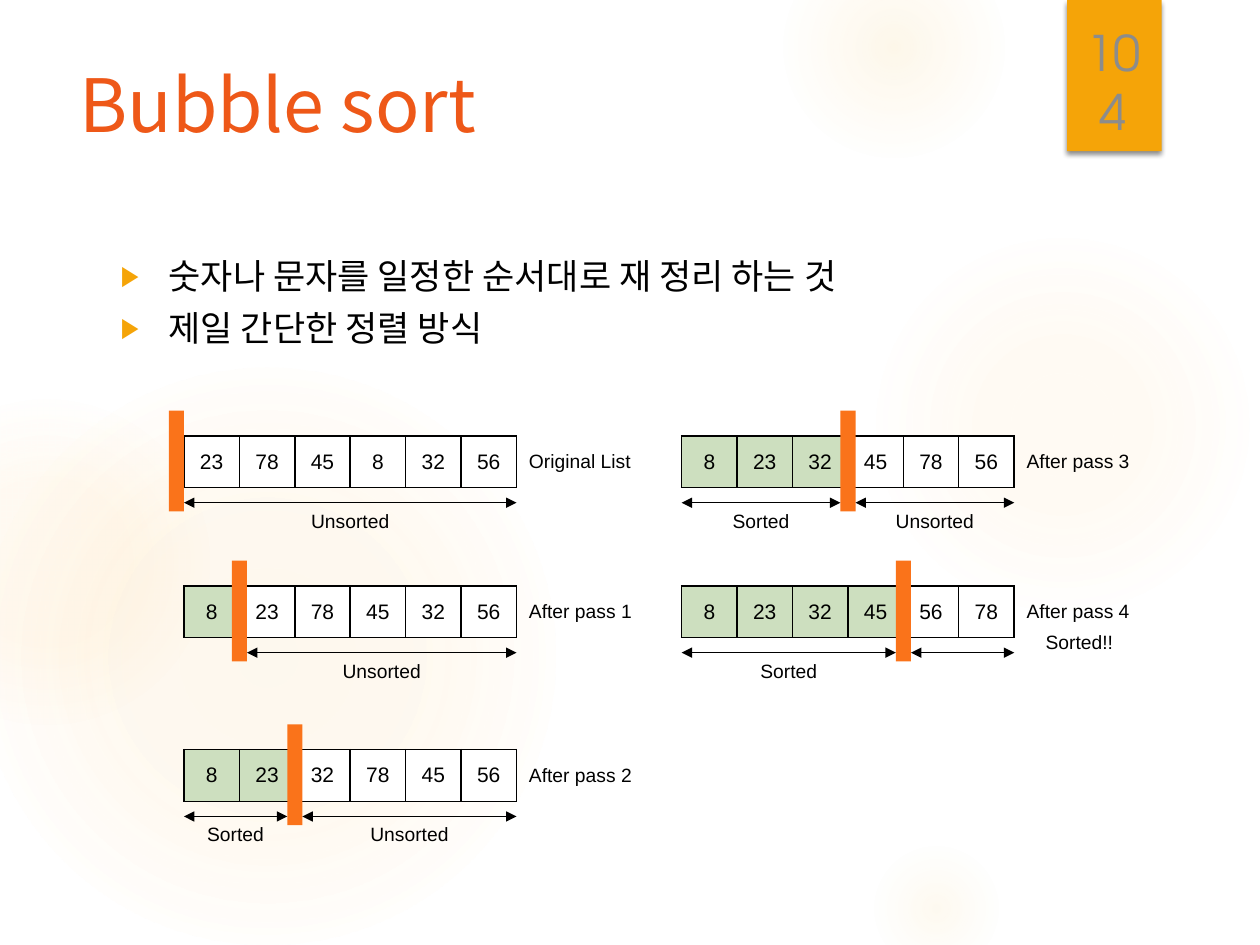
from lxml.etree import SubElement
from pptx import Presentation
from pptx.dml.color import RGBColor
from pptx.enum.shapes import MSO_CONNECTOR, MSO_SHAPE
from pptx.enum.text import MSO_ANCHOR, MSO_AUTO_SIZE, PP_ALIGN
from pptx.oxml import parse_xml
from pptx.oxml.ns import nsdecls, qn
from pptx.util import Inches, Pt

# Content
TITLE = "Bubble sort"
BULLETS = ["숫자나 문자를 일정한 순서대로 재 정리 하는 것", "제일 간단한 정렬 방식"]
PAGE_NUMBER = "104"
# grid column, grid row, caption, values, sorted count, labels left and right of the wall
PASSES = [
    (0, 0, "Original List", [23, 78, 45, 8, 32, 56], 0, "", "Unsorted"),
    (0, 1, "After pass 1", [8, 23, 78, 45, 32, 56], 1, None, "Unsorted"),
    (0, 2, "After pass 2", [8, 23, 32, 78, 45, 56], 2, "Sorted", "Unsorted"),
    (1, 0, "After pass 3", [8, 23, 32, 45, 78, 56], 3, "Sorted", "Unsorted"),
    (1, 1, "After pass 4", [8, 23, 32, 45, 56, 78], 4, "Sorted", ""),
]
FINAL_NOTE = "Sorted!!"
# left, top, diameter, (position, opacity) stops in percent
GLOWS = [
    (6.89, 1.83, 3.08, [(0, 7), (36, 6), (69, 0)]),
    (6.22, -0.5, 1.75, [(0, 14), (36, 7), (73, 0)]),
    (6.89, 6.67, 1.08, [(0, 10), (31, 5), (66, 0)]),
    (-0.17, 2.92, 4.58, [(0, 11), (36, 10), (75, 0)]),
    (-0.92, 3.17, 2.58, [(0, 8), (36, 8), (72, 0)]),
]

THEME = {
    "glow": "FAC96A", "accent": "F5A408", "title": "EE5818", "wall": "FA731A",
    "sorted": "CDDFBF", "unsorted": "FFFFFF", "ink": "000000", "number": "8C8C8C",
    "heading_font": "Noto Sans CJK KR", "label_font": "Arial",
    "number_font": "TeX Gyre Adventor",
    "title_size": 42, "body_size": 20, "number_size": 28, "cell_size": 12, "label_size": 11,
}

# Grid, in inches
COLUMN_LEFTS = [1.46, 5.41]
ROW_TOPS = [3.46, 4.65, 5.95]
CELL_WIDTH, CELL_HEIGHT = 0.44, 0.41
WALL_WIDTH, WALL_HEIGHT = 0.12, 0.8
WALL_RISE, ARROW_DROP = 0.2, 0.53
LABEL_HEIGHT = 0.29
LABEL_WIDTHS = {"Sorted": 0.66, "Unsorted": 0.84}
CAPTION_WIDTH = 1.04

deck = Presentation()
deck.slide_width, deck.slide_height = Inches(10), Inches(7.5)
page = deck.slides.add_slide(deck.slide_layouts[6])


def write(frame, lines, size, font="label_font", color="ink", align=PP_ALIGN.LEFT,
          anchor=MSO_ANCHOR.TOP, spacing=None, gap=0, bullet=False):
    """Fill a text frame with one formatted paragraph per line."""
    frame.vertical_anchor = anchor
    for index, line in enumerate(lines):
        para = frame.add_paragraph() if index else frame.paragraphs[0]
        para.alignment = align
        if spacing:
            para.line_spacing = spacing
        if index and gap:
            para.space_before = Pt(gap)
        if bullet:
            add_bullet(para)
        span = para.add_run()
        span.text = line
        span.font.size = Pt(THEME[size])
        span.font.color.rgb = RGBColor.from_string(THEME[color])
        span.font.name = THEME[font]
        SubElement(span.font._element, qn("a:ea"), typeface=THEME[font])


def add_bullet(para):
    props = para._p.get_or_add_pPr()
    props.set("marL", str(Inches(0.38)))
    props.set("indent", str(Inches(-0.38)))
    color = SubElement(props, qn("a:buClr"))
    SubElement(color, qn("a:srgbClr"), val=THEME["accent"])
    SubElement(props, qn("a:buSzPct"), val="80000")
    SubElement(props, qn("a:buFont"), typeface=THEME["label_font"])
    SubElement(props, qn("a:buChar"), char="▶")


def add_text(left, top, width, height, lines, wrap=True, **style):
    box = page.shapes.add_textbox(Inches(left), Inches(top), Inches(width), Inches(height))
    box.text_frame.word_wrap = wrap
    if not wrap:
        box.text_frame.auto_size = MSO_AUTO_SIZE.SHAPE_TO_FIT_TEXT
    write(box.text_frame, lines, **style)


def add_plain(kind, left, top, width, height, color):
    shape = page.shapes.add_shape(kind, Inches(left), Inches(top), Inches(width), Inches(height))
    shape.shadow.inherit = False
    shape.fill.solid()
    shape.fill.fore_color.rgb = RGBColor.from_string(THEME[color])
    shape.line.fill.background()
    return shape


def add_glow(left, top, diameter, stops):
    props = add_plain(MSO_SHAPE.OVAL, left, top, diameter, diameter, "glow").element.spPr
    marks = "".join(
        f'<a:gs pos="{position * 1000}"><a:srgbClr val="{THEME["glow"]}">'
        f'<a:alpha val="{opacity * 1000}"/></a:srgbClr></a:gs>'
        for position, opacity in stops + [(100, 0)])
    gradient = parse_xml(
        f'<a:gradFill {nsdecls("a")} rotWithShape="1"><a:gsLst>{marks}</a:gsLst>'
        '<a:path path="circle"><a:fillToRect l="50000" t="50000" r="50000" b="50000"/></a:path>'
        '</a:gradFill>')
    props.replace(props.find(qn("a:solidFill")), gradient)


def add_arrow(start, end, top):
    arrow = page.shapes.add_connector(
        MSO_CONNECTOR.STRAIGHT, Inches(start), Inches(top), Inches(end), Inches(top))
    arrow.line.color.rgb = RGBColor.from_string(THEME["ink"])
    arrow.line.width = Pt(0.75)
    props = arrow.element.spPr
    for tag in ("a:headEnd", "a:tailEnd"):
        SubElement(props.find(qn("a:ln")), qn(tag), type="triangle")
    SubElement(props, qn("a:effectLst"))


def add_values(left, top, values, sorted_count):
    table = page.shapes.add_table(
        1, len(values), Inches(left), Inches(top),
        Inches(CELL_WIDTH * len(values)), Inches(CELL_HEIGHT)).table
    table.first_row = table.horz_banding = False
    for index, value in enumerate(values):
        cell = table.cell(0, index)
        write(cell.text_frame, [str(value)], size="cell_size", align=PP_ALIGN.CENTER)
        cell.vertical_anchor = MSO_ANCHOR.MIDDLE
        cell.fill.solid()
        state = "sorted" if index < sorted_count else "unsorted"
        cell.fill.fore_color.rgb = RGBColor.from_string(THEME[state])
        for order, side in enumerate("LRTB"):
            border = parse_xml(
                f'<a:ln{side} {nsdecls("a")} w="{Pt(1)}"><a:solidFill>'
                f'<a:srgbClr val="{THEME["ink"]}"/></a:solidFill></a:ln{side}>')
            cell._tc.get_or_add_tcPr().insert(order, border)


def add_pass(column, row, caption, values, sorted_count, left_label, right_label):
    left, top = COLUMN_LEFTS[column], ROW_TOPS[row]
    right = left + CELL_WIDTH * len(values)
    # The wall straddles the boundary, or stands before an unsorted list
    shift = WALL_WIDTH / 2 if sorted_count else WALL_WIDTH
    wall = left + CELL_WIDTH * sorted_count - shift
    add_values(left, top, values, sorted_count)
    add_plain(MSO_SHAPE.RECTANGLE, wall, top - WALL_RISE, WALL_WIDTH, WALL_HEIGHT, "wall")
    arrow_top = top + ARROW_DROP
    spans = [(left, wall, left_label), (wall + WALL_WIDTH, right, right_label)]
    for start, end, label in spans:
        if label is None or end <= start:
            continue
        add_arrow(start, end, arrow_top)
        if label:
            width = LABEL_WIDTHS[label]
            add_text((start + end - width) / 2, arrow_top, width, LABEL_HEIGHT, [label],
                     wrap=False, size="label_size", align=PP_ALIGN.CENTER)
    add_text(right, top + (CELL_HEIGHT - LABEL_HEIGHT) / 2, CAPTION_WIDTH, LABEL_HEIGHT,
             [caption], wrap=False, size="label_size")


# Background glows and page number badge
for glow in GLOWS:
    add_glow(*glow)
badge = add_plain(MSO_SHAPE.RECTANGLE, 8.47, 0, 0.75, 1.2, "accent")
badge.element.spPr.find(qn("a:effectLst")).append(parse_xml(
    f'<a:outerShdw {nsdecls("a")} blurRad="{Pt(3)}" dist="{Pt(2)}" dir="5400000">'
    f'<a:srgbClr val="{THEME["ink"]}"><a:alpha val="45000"/></a:srgbClr></a:outerShdw>'))
add_text(8.49, 0.32, 0.69, 0.84, [PAGE_NUMBER], size="number_size", font="number_font",
         color="number", align=PP_ALIGN.CENTER, anchor=MSO_ANCHOR.BOTTOM)

# Title and bullets
add_text(0.53, 0.5, 7.72, 1.53, [TITLE], size="title_size", font="heading_font",
         color="title", spacing=0.9)
add_text(0.86, 2.01, 7.34, 4.59, BULLETS, size="body_size", font="heading_font",
         spacing=0.9, gap=8, bullet=True)

# Sorting passes
for sorting_pass in PASSES:
    add_pass(*sorting_pass)
add_text(8.2, 4.95, 0.75, LABEL_HEIGHT, [FINAL_NOTE], wrap=False, size="label_size")

deck.save("out.pptx")
